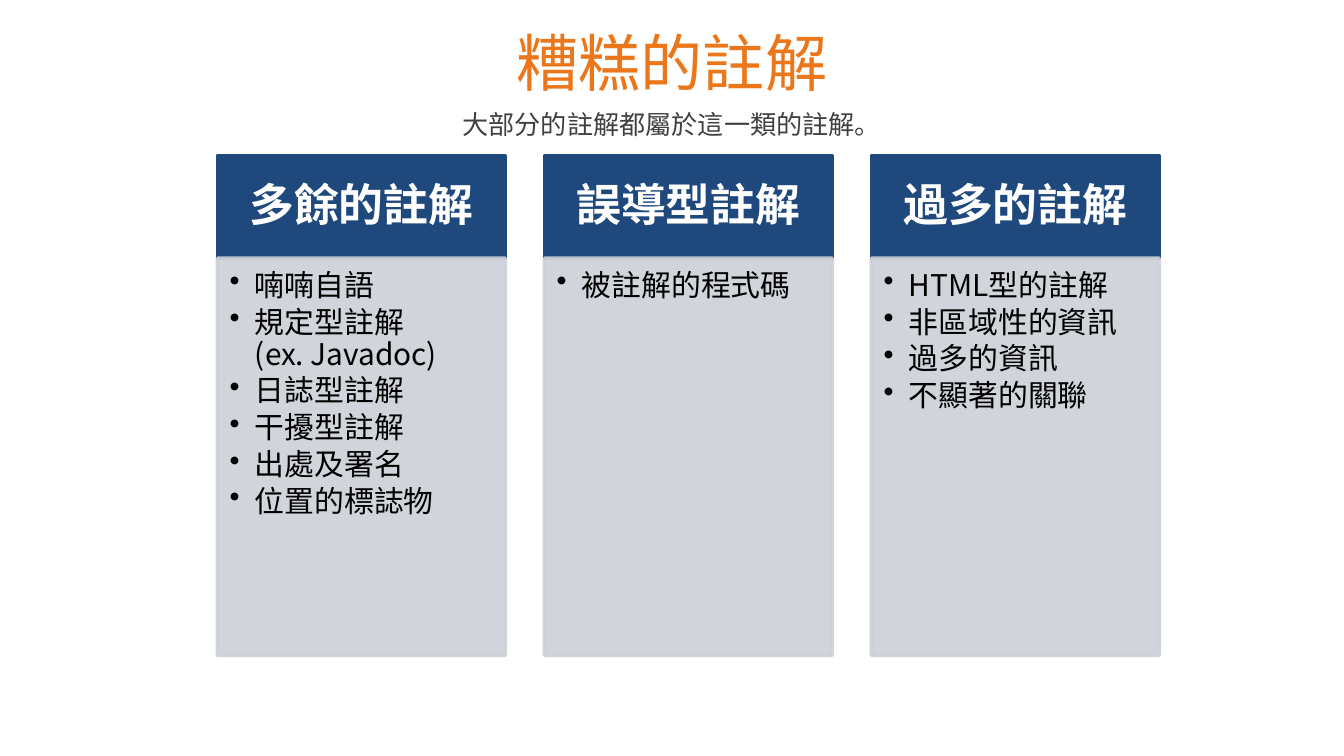
from pptx import Presentation
from pptx.dml.color import RGBColor
from pptx.enum.shapes import MSO_SHAPE
from pptx.enum.text import MSO_ANCHOR, MSO_AUTO_SIZE, PP_ALIGN
from pptx.oxml.ns import qn
from pptx.util import Cm, Pt
from lxml import etree

RECT = MSO_SHAPE.RECTANGLE
TOP, MIDDLE = MSO_ANCHOR.TOP, MSO_ANCHOR.MIDDLE
LEFT, CENTER = PP_ALIGN.LEFT, PP_ALIGN.CENTER
FONT = "Noto Sans CJK SC"
COLORS = {"title": "EC771B", "subtitle": "404040", "header": "1F497D",
          "body": "CDD0D7", "white": "FFFFFF", "black": "000000"}

COLUMNS = [
    ("多餘的註解", ["喃喃自語", "規定型註解\v(ex. Javadoc)", "日誌型註解",
               "干擾型註解", "出處及署名", "位置的標誌物"]),
    ("誤導型註解", ["被註解的程式碼"]),
    ("過多的註解", ["HTML型的註解", "非區域性的資訊", "過多的資訊", "不顯著的關聯"]),
]
FRAMES = {
    "title": {"vertical_anchor": MIDDLE},
    "header": {"vertical_anchor": MIDDLE, "margin_left": Cm(0.48), "margin_right": Cm(0.48),
               "margin_top": Cm(0.28), "margin_bottom": Cm(0.28)},
    "body": {"vertical_anchor": TOP, "margin_left": Cm(0.23), "margin_right": Cm(0.3),
             "margin_top": Cm(0.23), "margin_bottom": Cm(0.36)},
}
PARAGRAPHS = {
    "title": {"alignment": CENTER},
    "header": {"alignment": CENTER, "line_spacing": 0.9},
    "body": {"alignment": LEFT, "line_spacing": 0.9, "space_after": Pt(2.4)},
}


def write(sp, lines, kind, size, color, bold=False):
    """Fill a shape with paragraphs in the frame and paragraph format of its kind."""
    tf = sp.text_frame
    tf.word_wrap = True
    tf.auto_size = MSO_AUTO_SIZE.NONE
    for name, value in FRAMES[kind].items():
        setattr(tf, name, value)
    tf.text = "\n".join(lines)
    for p in tf.paragraphs:
        for name, value in PARAGRAPHS[kind].items():
            setattr(p, name, value)
        for r in p.runs:
            r.font.name, r.font.size, r.font.bold = FONT, Pt(size), bold
            r.font.color.rgb = RGBColor.from_string(COLORS[color])
            etree.SubElement(r.font._element, qn("a:ea"), typeface=FONT)


prs = Presentation()
prs.slide_width, prs.slide_height = Cm(25.4), Cm(14.28)
s = prs.slides.add_slide(prs.slide_layouts[5])

title = s.shapes.title
title.left, title.top, title.width, title.height = Cm(0), Cm(0.36), Cm(25.4), Cm(1.6)
write(title, ["糟糕的註解"], "title", 33.3, "title")

subtitle = s.shapes.add_textbox(Cm(0), Cm(1.96), Cm(25.4), Cm(0.78))
write(subtitle, ["大部分的註解都屬於這一類的註解。"], "title", 14, "subtitle")

for i, (heading, items) in enumerate(COLUMNS):
    x = Cm(4.11 + 6.18 * i)
    header = s.shapes.add_shape(RECT, x, Cm(2.95), Cm(5.44), Cm(1.93))
    body = s.shapes.add_shape(RECT, x, Cm(4.88), Cm(5.44), Cm(7.5))
    for sp, color in ((header, "header"), (body, "body")):
        sp.shadow.inherit = False
        sp.fill.solid()
        sp.fill.fore_color.rgb = RGBColor.from_string(COLORS[color])
        sp.line.color.rgb = RGBColor.from_string(COLORS[color])
        sp.line.width = Pt(2)
    for clr in body._element.spPr.iter(qn("a:srgbClr")):
        etree.SubElement(clr, qn("a:alpha"), val="90000")

    write(header, [heading], "header", 24, "white", bold=True)
    write(body, items, "body", 16, "black")
    for p in body.text_frame.paragraphs:
        pPr = p._p.get_or_add_pPr()
        pPr.set("marL", str(Cm(0.48)))
        pPr.set("indent", str(-Cm(0.48)))
        etree.SubElement(pPr, qn("a:buChar"), char="•")

prs.save("out.pptx")
